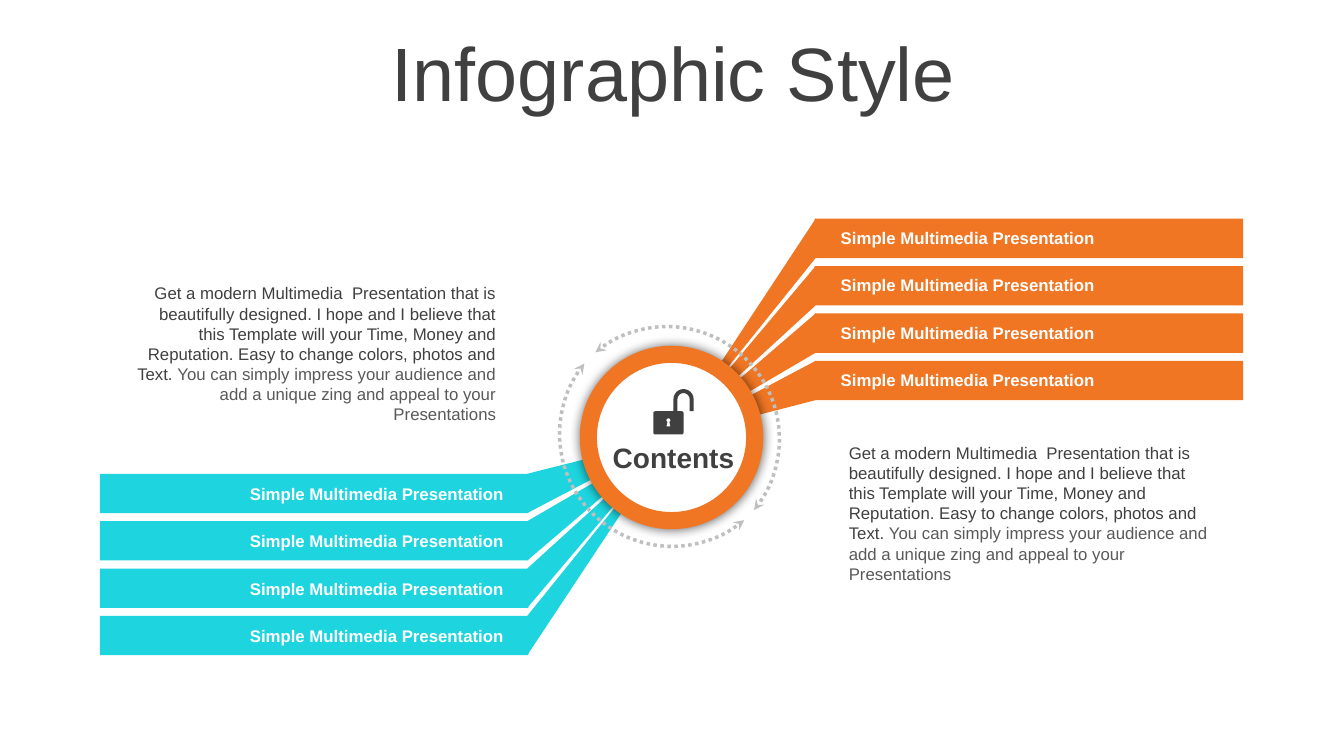
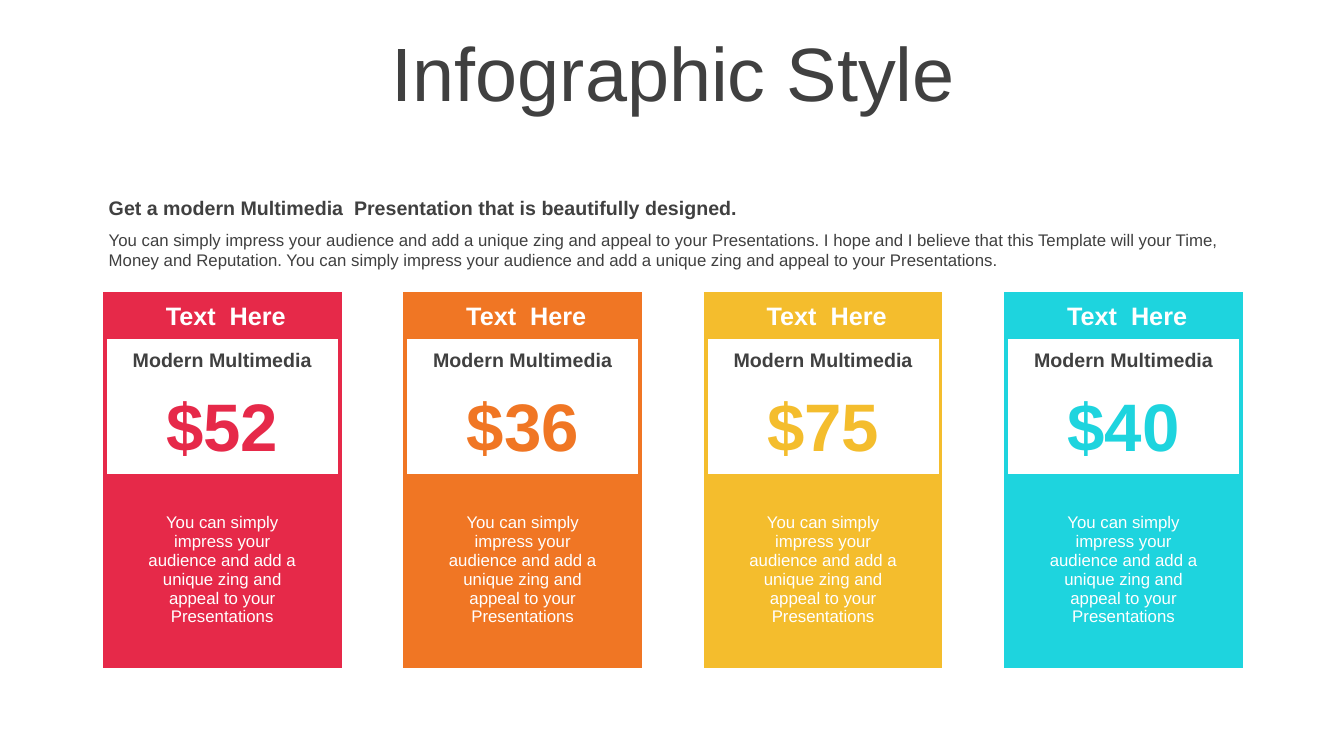
from math import cos, radians, sin

from lxml.etree import SubElement
from pptx import Presentation
from pptx.dml.color import RGBColor
from pptx.enum.dml import MSO_LINE
from pptx.enum.shapes import MSO_SHAPE as Preset
from pptx.enum.text import MSO_ANCHOR as Anchor, MSO_AUTO_SIZE as AutoSize, PP_ALIGN as Align
from pptx.oxml.ns import qn
from pptx.util import Inches, Pt

WHITE, DARK, GREY, DOTS = "FFFFFF", "404040", "595959", "BFBFBF"
RED, ORANGE, YELLOW, TEAL = "E62949", "F07624", "F4BD2D", "1ED4DE"
PLAIN_TABLE = "{2D5ABB26-0587-4C30-8999-92F81FD0307C}"

HEADING = "Infographic Style"
BAR_LABEL = "Simple Multimedia Presentation"
AUDIENCE = "You can simply impress your audience and add a unique zing and appeal to your Presentations"
PITCH = (
    "Get a modern Multimedia  Presentation that is beautifully designed. I hope and I believe that "
    "this Template will your Time, Money and Reputation. Easy to change colors, photos and Text. "
)
SUBHEADING = "Get a modern Multimedia  Presentation that is beautifully designed."
INTRO = (
    f"{AUDIENCE}. I hope and I believe that this Template will your Time, "
    f"Money and Reputation. {AUDIENCE}."
)


def colour(value):
    return RGBColor.from_string(value)


def paint(target, value):
    target.fill.solid()
    target.fill.fore_color.rgb = colour(value)


def write(frame, text, size=12, color=DARK, bold=False, align=Align.LEFT, anchor=None, spacing=None):
    frame.word_wrap = True
    if anchor is not None:
        frame.vertical_anchor = anchor
    paragraph = frame.paragraphs[0]
    paragraph.alignment = align
    if spacing:
        paragraph.line_spacing = spacing
    for words, shade in [(text, color)] if isinstance(text, str) else text:
        run = paragraph.add_run()
        run.text = words
        run.font.name = "Arial"
        run.font.size = Pt(size)
        run.font.bold = bold
        run.font.color.rgb = colour(shade)


def arc_points(x, y, radius, start, end, steps=12):
    angles = [radians(start + (end - start) * i / steps) for i in range(steps + 1)]
    return [(x + radius * cos(a), y + radius * sin(a)) for a in angles]


class Deck:
    def __init__(self):
        self.file = Presentation()
        self.file.slide_width = Inches(13.33)
        self.file.slide_height = Inches(7.5)
        self.slide = None

    def new_slide(self, heading):
        self.slide = self.file.slides.add_slide(self.file.slide_layouts[5])
        title = self.slide.shapes.title
        self.place(title, 0.35, 0.37, 12.66, 0.79)
        write(title.text_frame, heading, size=54, align=Align.CENTER, anchor=Anchor.MIDDLE, spacing=0.9)
        title.text_frame.auto_size = AutoSize.NONE

    def place(self, item, left, top, width, height):
        item.left, item.top = Inches(left), Inches(top)
        item.width, item.height = Inches(width), Inches(height)

    def text(self, left, top, width, height, words, **style):
        box = self.slide.shapes.add_textbox(Inches(left), Inches(top), Inches(width), Inches(height))
        write(box.text_frame, words, **style)

    def shape(self, preset, left, top, width, height, fill=None, line=None, weight=1):
        item = self.slide.shapes.add_shape(
            preset, Inches(left), Inches(top), Inches(width), Inches(height))
        item.shadow.inherit = False
        if fill:
            paint(item, fill)
        else:
            item.fill.background()
        if line:
            item.line.color.rgb = colour(line)
            item.line.width = Pt(weight)
        else:
            item.line.fill.background()
        return item

    def outline(self, fill, *contours):
        builder = None
        for contour in contours:
            points = [(Inches(x), Inches(y)) for x, y in contour]
            if builder is None:
                builder = self.slide.shapes.build_freeform(*points[0])
            else:
                builder.move_to(*points[0])
            builder.add_line_segments(points[1:], close=True)
        item = builder.convert_to_shape()
        item.shadow.inherit = False
        paint(item, fill)
        item.line.fill.background()

    def ring(self, x, y, diameter, line, weight):
        corner = diameter / 2
        disc = self.shape(Preset.OVAL, x - corner, y - corner, diameter, diameter, WHITE, line, weight)
        effects = disc._element.spPr.find(qn("a:effectLst"))
        glow = SubElement(effects, qn("a:outerShdw"), blurRad=str(Pt(8)), dist="0", dir="0",
                          algn="ctr", rotWithShape="0")
        black = SubElement(glow, qn("a:srgbClr"), val="000000")
        SubElement(black, qn("a:alpha"), val="60000")

    def dotted_arc(self, left, top, diameter, rotation):
        arc = self.shape(Preset.ARC, left, top, diameter, diameter, line=DOTS, weight=2.5)
        arc.adjustments[0], arc.adjustments[1] = 111.57, 212.83
        arc.rotation = rotation
        arc.line.dash_style = MSO_LINE.ROUND_DOT
        stroke = arc._element.spPr.find(qn("a:ln"))
        for end in ("a:headEnd", "a:tailEnd"):
            SubElement(stroke, qn(end), type="stealth")

    def fan(self, bar_left, spoke_x, top, hub, fill):
        tops = [top + 0.47 * i for i in range(4)]
        for y in tops:
            self.shape(Preset.RECTANGLE, bar_left, y, 4.25, 0.39, fill)
        for y in tops:
            self.outline(fill, [(spoke_x, y), hub, (spoke_x, y + 0.39)])

    def bar_labels(self, left, top, width):
        for i in range(4):
            self.text(left, top + 0.47 * i, width, 0.3, BAR_LABEL, color=WHITE, bold=True)

    def padlock(self):
        body = [
            *arc_points(6.5, 4.1, 0.02, 180, 270),
            (6.68, 4.08),
            *arc_points(6.78, 3.96, 0.1, 180, 360),
            (6.88, 4.08), (6.84, 4.08),
            *arc_points(6.78, 3.96, 0.06, 360, 180),
            (6.72, 4.08),
            *arc_points(6.76, 4.1, 0.02, 270, 360),
            *arc_points(6.76, 4.29, 0.02, 0, 90),
            *arc_points(6.5, 4.29, 0.02, 90, 180),
        ]
        keyhole = [*arc_points(6.63, 4.17, 0.02, 120, 420), (6.65, 4.23), (6.61, 4.23)]
        self.outline(DARK, body, keyhole)

    def border(self, cell, accent, sides):
        properties = cell._tc.get_or_add_tcPr()
        for position, side in enumerate(sides):
            edge = SubElement(properties, qn(f"a:ln{side}"), w=str(Pt(3)))
            SubElement(SubElement(edge, qn("a:solidFill")), qn("a:srgbClr"), val=accent)
            properties.insert(position, edge)

    def price_table(self, left, top, price, accent):
        widths, heights = [0.23, 1.85, 0.23], [0.44, 0.44, 0.9, 0.3, 1.3, 0.3]
        table = self.slide.shapes.add_table(
            len(heights), len(widths), Inches(left), Inches(top),
            Inches(sum(widths)), Inches(sum(heights))).table
        table.first_row = table.horz_banding = False
        table._tbl.tblPr.find(qn("a:tableStyleId")).text = PLAIN_TABLE
        for column, width in zip(table.columns, widths):
            column.width = Inches(width)
        for row, height in zip(table.rows, heights):
            row.height = Inches(height)
        for r in range(len(heights)):
            merged = r < 3
            if merged:
                table.cell(r, 0).merge(table.cell(r, 2))
            for c in range(len(widths)):
                cell = table.cell(r, c)
                cell.margin_top = cell.margin_bottom = 0
                cell.vertical_anchor = Anchor.MIDDLE
                paint(cell, WHITE if r in (1, 2) else accent)
                edges = {"L": c == 0, "R": c == 2 or merged, "T": r == 0, "B": r == 5}
                self.border(cell, accent, [side for side, outer in edges.items() if outer])
        entries = [
            (0, 0, " Text  Here", 18, WHITE, True),
            (1, 0, "Modern Multimedia", 14, DARK, True),
            (2, 0, price, 48, accent, True),
            (4, 1, AUDIENCE, 12, WHITE, False),
        ]
        for r, c, words, size, shade, bold in entries:
            write(table.cell(r, c).text_frame, words, size=size, color=shade, bold=bold,
                  align=Align.CENTER)


def contents_slide(deck):
    hub = (6.66, 4.34)
    deck.new_slide(HEADING)
    deck.fan(8.08, 8.09, 2.17, hub, ORANGE)
    deck.fan(0.99, 5.23, 4.7, hub, TEAL)
    deck.ring(*hub, 1.65, ORANGE, 12.25)
    deck.bar_labels(8.24, 2.21, 2.99)
    deck.bar_labels(2.38, 4.75, 2.83)
    deck.dotted_arc(5.55, 3.19, 2.23, 224.1)
    deck.dotted_arc(5.5, 3.24, 2.23, 44.5)
    deck.text(5.93, 4.32, 1.5, 0.44, "Contents", size=20, bold=True, align=Align.CENTER)
    description = [(PITCH, DARK), (AUDIENCE, GREY)]
    deck.text(8.32, 4.34, 3.82, 1.51, description)
    deck.text(1.2, 2.76, 3.82, 1.51, description, align=Align.RIGHT)
    deck.padlock()


def pricing_slide(deck):
    deck.new_slide(HEADING)
    plans = [("$52", RED), ("$36", ORANGE), ("$75", YELLOW), ("$40", TEAL)]
    for i, (price, accent) in enumerate(plans):
        deck.price_table(1.04 + 2.98 * i, 2.92, price, accent)
    deck.text(0.98, 1.89, 11.38, 0.34, SUBHEADING, size=14, bold=True)
    deck.text(0.98, 2.23, 11.38, 0.5, INTRO)


def main():
    deck = Deck()
    contents_slide(deck)
    pricing_slide(deck)
    deck.file.save("out.pptx")


if __name__ == "__main__":
    main()
